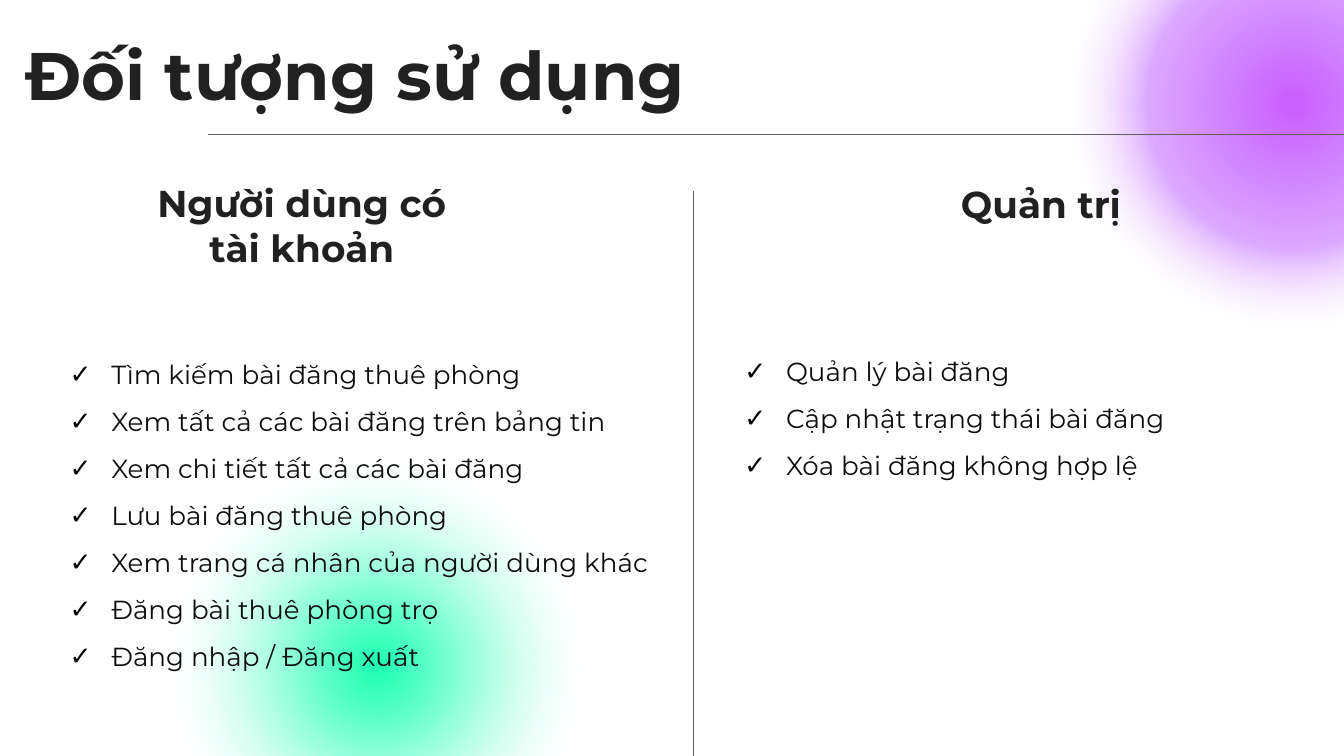
from dataclasses import dataclass

import pptx
import pptx.dml.color
import pptx.enum.shapes
import pptx.enum.text
import pptx.oxml
import pptx.oxml.ns
import pptx.util
from pptx.util import Inches

FONT = "Montserrat"
HEADING_COLOR = "212121"
ITEM_COLOR = "0D0D0D"
RULE_COLOR = "5F5F5F"
SLIDE_WIDTH = 10
SLIDE_HEIGHT = SLIDE_WIDTH * 9 / 16
ALIGN = pptx.enum.text.PP_ALIGN
ANCHOR = pptx.enum.text.MSO_ANCHOR


@dataclass
class Glow:
    left: float
    top: float
    size: float
    stops: list[tuple[int, str, int]]  # position %, colour, opacity %


@dataclass
class Audience:
    heading: str
    heading_at: tuple[float, float]
    tasks: list[str]
    tasks_box: tuple[float, float, float, float]


GREEN_GLOW = Glow(0.54, 2.7, 4.52,
                  [(0, "1EFFB2", 100), (50, "FFFFFF", 0), (100, "FFFFFF", 0)])
PURPLE_GLOW = Glow(7.6, -1.25, 4.03,
                   [(0, "C95EFF", 100), (38, "BF62FF", 54),
                    (61, "FFFFFF", 0), (100, "FFFFFF", 0)])

AUDIENCES = [
    Audience("Người dùng có tài khoản", (0.87, 1.24),
             ["Tìm kiếm bài đăng thuê phòng",
              "Xem tất cả các bài đăng trên bảng tin",
              "Xem chi tiết tất cả các bài đăng",
              "Lưu bài đăng thuê phòng",
              "Xem trang cá nhân của người dùng khác",
              "Đăng bài thuê phòng trọ",
              "Đăng nhập / Đăng xuất"],
             (0.42, 2.45, 4.52, 3.04)),
    Audience("Quản trị", (6.37, 1.25),
             ["Quản lý bài đăng",
              "Cập nhật trạng thái bài đăng",
              "Xóa bài đăng không hợp lệ"],
             (5.44, 2.43, 4.39, 1.95)),
]


def color(value: str) -> pptx.dml.color.RGBColor:
    return pptx.dml.color.RGBColor.from_string(value)


def add_glow(slide, glow: Glow) -> None:
    circle = slide.shapes.add_shape(
        pptx.enum.shapes.MSO_SHAPE.OVAL, Inches(glow.left), Inches(glow.top),
        Inches(glow.size), Inches(glow.size))
    circle.shadow.inherit = False
    circle.line.fill.background()
    circle.fill.background()
    # Radial gradient with transparency
    stops = "".join(
        f'<a:gs pos="{position * 1000}"><a:srgbClr val="{value}">'
        f'<a:alpha val="{opacity * 1000}"/></a:srgbClr></a:gs>'
        for position, value, opacity in glow.stops)
    gradient = pptx.oxml.parse_xml(
        f'<a:gradFill {pptx.oxml.ns.nsdecls("a")} rotWithShape="1">'
        f'<a:gsLst>{stops}</a:gsLst><a:path path="circle">'
        '<a:fillToRect l="50000" t="50000" r="50000" b="50000"/>'
        '</a:path></a:gradFill>')
    properties = circle._element.spPr
    properties.replace(properties.find(pptx.oxml.ns.qn("a:noFill")), gradient)


def add_rule(slide, x1: float, y1: float, x2: float, y2: float) -> None:
    rule = slide.shapes.add_connector(
        pptx.enum.shapes.MSO_CONNECTOR.STRAIGHT,
        Inches(x1), Inches(y1), Inches(x2), Inches(y2))
    rule.line.color.rgb = color(RULE_COLOR)
    rule.line.width = pptx.util.Pt(0.75)
    rule._element.spPr.append(pptx.oxml.parse_xml(
        f'<a:effectLst {pptx.oxml.ns.nsdecls("a")}/>'))


def add_text(slide, box: tuple[float, float, float, float], lines: list[str],
             size: int, value: str, bold: bool = False,
             align: ALIGN = ALIGN.LEFT, anchor: ANCHOR = ANCHOR.TOP) -> list:
    """Add a text box and return its paragraphs."""
    frame = slide.shapes.add_textbox(*map(Inches, box)).text_frame
    frame.word_wrap = True
    frame.vertical_anchor = anchor
    frame.margin_left = frame.margin_right = Inches(0.1)
    frame.margin_top = frame.margin_bottom = Inches(0.1)
    frame.text = "\n".join(lines)
    for paragraph in frame.paragraphs:
        paragraph.alignment = align
        for run in paragraph.runs:
            run.font.name = FONT
            run.font.size = pptx.util.Pt(size)
            run.font.bold = bold
            run.font.color.rgb = color(value)
    return list(frame.paragraphs)


def add_check_mark(paragraph) -> None:
    paragraph.line_spacing = 1.5
    properties = paragraph._p.get_or_add_pPr()
    properties.set("marL", str(Inches(0.31)))
    properties.set("indent", str(Inches(-0.31)))
    namespace = pptx.oxml.ns.nsdecls("a")
    for bullet in (f'<a:buClr {namespace}><a:srgbClr val="000000"/></a:buClr>',
                   f'<a:buFont {namespace} typeface="{FONT}"/>',
                   f'<a:buChar {namespace} char="✓"/>'):
        properties.append(pptx.oxml.parse_xml(bullet))


def add_audience(slide, audience: Audience) -> None:
    heading = add_text(slide, (*audience.heading_at, 2.75, 0.93),
                       [audience.heading], 20, HEADING_COLOR, True, ALIGN.CENTER)
    heading[0].space_after = pptx.util.Pt(12)
    for task in add_text(slide, audience.tasks_box, audience.tasks, 14,
                         ITEM_COLOR, align=ALIGN.JUSTIFY):
        add_check_mark(task)


def main() -> None:
    deck = pptx.Presentation()
    deck.slide_width = Inches(SLIDE_WIDTH)
    deck.slide_height = Inches(SLIDE_HEIGHT)
    slide = deck.slides.add_slide(deck.slide_layouts[6])

    # Background glows; the green one is layered twice for depth
    for glow in (PURPLE_GLOW, GREEN_GLOW, GREEN_GLOW):
        add_glow(slide, glow)

    # Title and its underline
    add_rule(slide, 1.55, 1, SLIDE_WIDTH, 1)
    add_text(slide, (0.09, 0.13, 7.85, 0.83), ["Đối tượng sử dụng"], 36,
             HEADING_COLOR, True, anchor=ANCHOR.MIDDLE)

    # Two audiences with a divider between them
    for audience in AUDIENCES:
        add_audience(slide, audience)
    add_rule(slide, 5.16, 1.42, 5.16, SLIDE_HEIGHT)

    deck.save("out.pptx")


if __name__ == "__main__":
    main()
